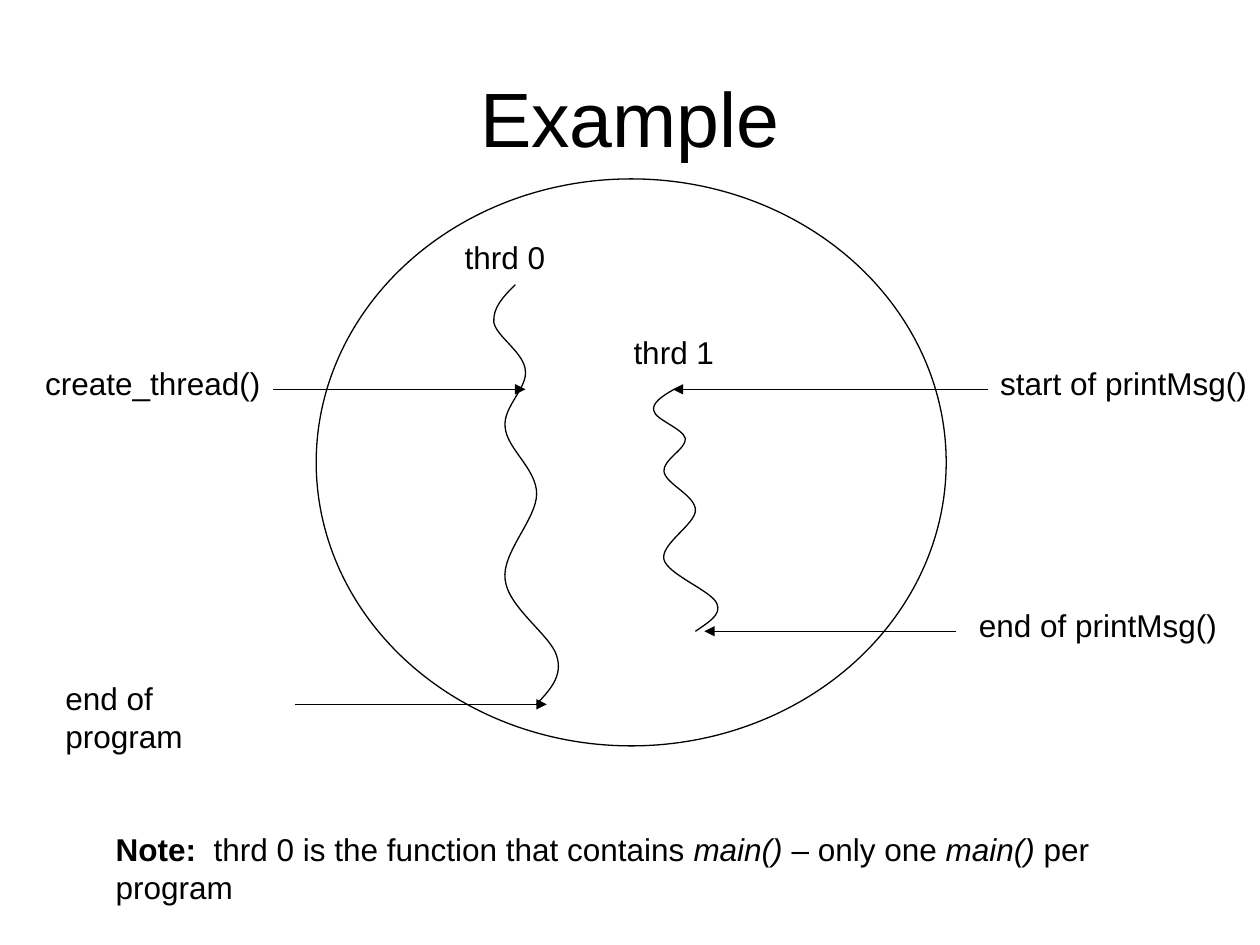
from lxml.etree import SubElement
from pptx import Presentation
from pptx.dml.color import RGBColor
from pptx.enum.shapes import MSO_CONNECTOR, MSO_SHAPE
from pptx.enum.text import MSO_ANCHOR, MSO_AUTO_SIZE, PP_ALIGN
from pptx.oxml.ns import qn
from pptx.util import Inches, Pt

# Content
TITLE = "Example"
NOTE = [
    ("Note:", {"bold": True}),
    ("  thrd 0 is the function that contains ", {}),
    ("main()", {"italic": True}),
    (" – only one ", {}),
    ("main()", {"italic": True}),
    (" per program", {}),
]
# Thread label, its left, top, then the start and Bezier points of its curve
THREADS = [
    ("thrd 0", 3.59, 1.84, [
        (4.09, 2.26),
        (4, 2.35), (3.91, 2.44), (3.92, 2.56),
        (3.94, 2.67), (4.16, 2.8), (4.17, 2.94),
        (4.19, 3.08), (3.99, 3.23), (4.01, 3.39),
        (4.02, 3.56), (4.26, 3.72), (4.26, 3.92),
        (4.26, 4.12), (3.98, 4.39), (4.01, 4.6),
        (4.03, 4.82), (4.38, 5.05), (4.42, 5.21),
        (4.47, 5.37), (4.36, 5.48), (4.26, 5.59)]),
    ("thrd 1", 4.93, 2.59, [
        (5.35, 3.09),
        (5.26, 3.14), (5.17, 3.2), (5.19, 3.26),
        (5.2, 3.33), (5.42, 3.4), (5.44, 3.48),
        (5.45, 3.56), (5.26, 3.65), (5.27, 3.74),
        (5.28, 3.84), (5.52, 3.93), (5.52, 4.05),
        (5.52, 4.16), (5.24, 4.32), (5.27, 4.44),
        (5.3, 4.56), (5.65, 4.69), (5.69, 4.79),
        (5.73, 4.88), (5.62, 4.94), (5.52, 5.01)]),
]
# Event label, its left, width, then the arrow's height, start and end
EVENTS = [
    ("create_thread()", 0.26, 1.91, 3.09, 2.17, 4.17),
    ("start of printMsg()", 7.84, 2.16, 3.09, 7.84, 5.34),
    ("end of printMsg()", 7.67, 2.09, 5.01, 7.59, 5.59),
    ("end of program", 0.42, 1.89, 5.59, 2.34, 4.34),
]
THEME = {"font": "Arial", "ink": RGBColor(0, 0, 0), "title": Pt(44),
         "body": Pt(18), "line": Pt(0.75)}
LIFT = 0.25  # from an arrow up to the top of its label
HIGH = 0.4   # height of one line of text

deck = Presentation()
deck.slide_width, deck.slide_height = Inches(10), Inches(7.5)
slide = deck.slides.add_slide(deck.slide_layouts[6])
shapes = slide.shapes


def put_text(runs, left, top, width, high=HIGH, size="body", wrap=False):
    box = shapes.add_textbox(*map(Inches, (left, top, width, high)))
    frame = box.text_frame
    frame.word_wrap = wrap
    if not wrap:
        frame.auto_size = MSO_AUTO_SIZE.SHAPE_TO_FIT_TEXT
    for words, style in runs:
        run = frame.paragraphs[0].add_run()
        run.text = words
        look = {"name": THEME["font"], "size": THEME[size], **style}
        for key, value in look.items():
            setattr(run.font, key, value)
        run.font.color.rgb = THEME["ink"]
    return frame


def draw_line(shape):
    shape.line.color.rgb = THEME["ink"]
    shape.line.width = THEME["line"]


def outline(shape):
    shape.shadow.inherit = False
    shape.fill.background()
    draw_line(shape)


def add_curve(points):
    start, *rest = [(Inches(x), Inches(y)) for x, y in points]
    pen = shapes.build_freeform(*start)
    pen.add_line_segments(rest, close=False)
    shape = pen.convert_to_shape()
    outline(shape)
    # Turn each three line steps into one Bezier step
    track = next(shape.element.iter(qn("a:path")))
    steps = track.findall(qn("a:lnTo"))
    for i in range(0, len(steps), 3):
        bend = SubElement(track, qn("a:cubicBezTo"))
        for step in steps[i:i + 3]:
            bend.append(step[0])
            track.remove(step)


def add_arrow(start, end, y):
    arrow = shapes.add_connector(
        MSO_CONNECTOR.STRAIGHT, *map(Inches, (start, y, end, y)))
    draw_line(arrow)
    SubElement(arrow.line._get_or_add_ln(), qn("a:tailEnd"), type="triangle")
    SubElement(arrow.element.spPr, qn("a:effectLst"))


# Title
head = put_text([(TITLE, {})], 0.5, 0.3, 9, 1.25, "title", True)
head.vertical_anchor = MSO_ANCHOR.MIDDLE
head.paragraphs[0].alignment = PP_ALIGN.CENTER

# Process and its threads
outline(shapes.add_shape(
    MSO_SHAPE.OVAL, *map(Inches, (2.51, 1.42, 5, 4.5))))
for name, left, top, points in THREADS:
    add_curve(points)
    put_text([(name, {})], left, top, 0.84)

# Events
for name, left, width, y, start, end in EVENTS:
    add_arrow(start, end, y)
    put_text([(name, {})], left, y - LIFT, width)

# Note
put_text(NOTE, 0.82, 6.54, 8.92)

deck.save("out.pptx")
